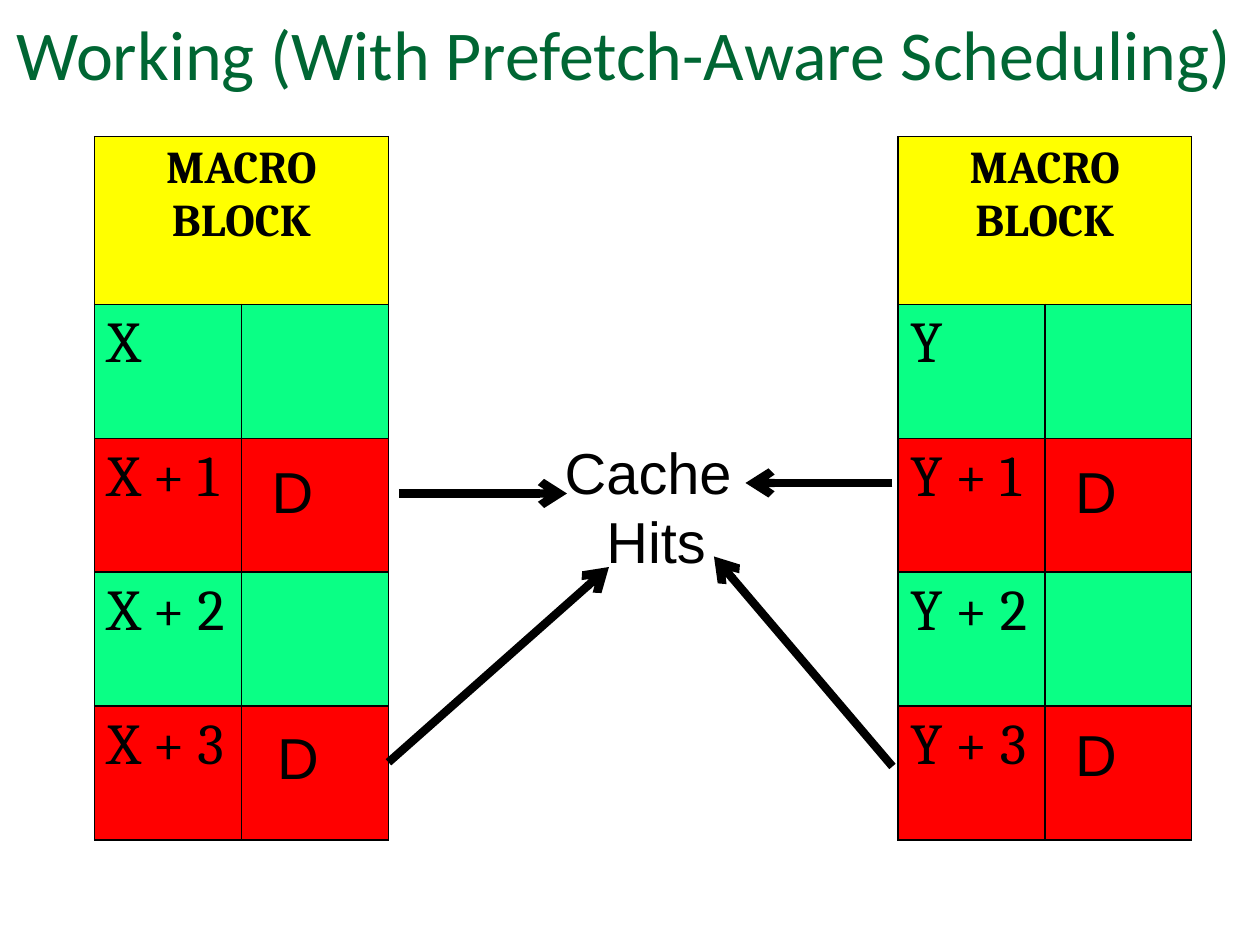
from pptx import Presentation
from pptx.dml.color import RGBColor
from pptx.enum.shapes import MSO_CONNECTOR
from pptx.enum.text import MSO_ANCHOR, MSO_AUTO_SIZE, PP_ALIGN
from pptx.oxml.ns import qn
from pptx.util import Inches, Pt
from lxml.etree import SubElement

BLACK = RGBColor(0x00, 0x00, 0x00)
PINE = RGBColor(0x00, 0x66, 0x33)
YELLOW = RGBColor(0xFF, 0xFF, 0x00)
MINT = RGBColor(0x0A, 0xFF, 0x85)
RED = RGBColor(0xFF, 0x00, 0x00)
UNIT = Inches(1) / 12

HEAD = {"name": "Cambria", "size": Pt(26), "bold": True}
ENTRY = {"name": "Cambria", "size": Pt(33), "bold": False}
LABEL = {"name": "Arial", "size": Pt(33)}
TITLE = {"name": "Calibri", "size": Pt(40)}


def grid(*cells):
    return [round(cell * UNIT) for cell in cells]


class Board:
    """Draws styled parts on one slide, with a grid of 120 columns by 90 rows."""

    def __init__(self, deck):
        self.slide = deck.slides.add_slide(deck.slide_layouts[5])
        self.shapes = self.slide.shapes

    def style(self, frame, text, form, align=PP_ALIGN.LEFT, color=BLACK):
        frame.text = text
        for para in frame.paragraphs:
            para.alignment = align
            for run in para.runs:
                for key, value in form.items():
                    setattr(run.font, key, value)
                run.font.color.rgb = color

    def title(self, text, *place):
        box = self.shapes.title
        box.left, box.top, box.width, box.height = grid(*place)
        frame = box.text_frame
        setup = {"auto_size": MSO_AUTO_SIZE.NONE, "word_wrap": True,
                 "vertical_anchor": MSO_ANCHOR.MIDDLE}
        for key, value in setup.items():
            setattr(frame, key, value)
        self.style(frame, text, TITLE, color=PINE)

    def label(self, text, *place, align=PP_ALIGN.LEFT, anchor=MSO_ANCHOR.MIDDLE):
        frame = self.shapes.add_textbox(*grid(*place)).text_frame
        frame.word_wrap = True
        frame.vertical_anchor = anchor
        self.style(frame, text, LABEL, align)

    def arrow(self, *ends):
        link = self.shapes.add_connector(MSO_CONNECTOR.STRAIGHT, *grid(*ends))
        link.line.width = Pt(4.75)
        link.line.color.rgb = BLACK
        props = link._element.spPr
        SubElement(props.find(qn("a:ln")), qn("a:tailEnd"), type="arrow")
        SubElement(props, qn("a:effectLst"))

    def paint(self, cell, color):
        props = cell._tc.get_or_add_tcPr()
        for side in ("lnL", "lnR", "lnT", "lnB"):
            edge = SubElement(props, qn(f"a:{side}"), w=str(Pt(1)))
            fill = SubElement(edge, qn("a:solidFill"))
            SubElement(fill, qn("a:srgbClr"), val=str(BLACK))
        cell.fill.solid()
        cell.fill.fore_color.rgb = color

    def block(self, name, left):
        table = self.shapes.add_table(5, 2, *grid(left, 13, 28, 67)).table
        for col in table.columns:
            col.width = grid(14)[0]
        for row, high in zip(table.rows, grid(16, *[12.75] * 4)):
            row.height = high
        table.cell(0, 0).merge(table.cell(0, 1))
        for row, color in enumerate([YELLOW, MINT, RED, MINT, RED]):
            for col in range(2):
                self.paint(table.cell(row, col), color)
        self.style(table.cell(0, 0).text_frame, "MACRO\nBLOCK", HEAD, PP_ALIGN.CENTER)
        for step in range(4):
            text = f"{name} + {step}" if step else name
            self.style(table.cell(step + 1, 0).text_frame, text, ENTRY)


deck = Presentation()
deck.slide_width, deck.slide_height = grid(120, 90)
board = Board(deck)
board.title("Working (With Prefetch-Aware Scheduling)", 0.4, 0, 122, 10)
for name, left in (("X", 9), ("Y", 85.5)):
    board.block(name, left)
board.label("Cache \nHits", 51, 41, 23, 14.5, align=PP_ALIGN.CENTER, anchor=MSO_ANCHOR.TOP)
for ends in ((38, 47, 54, 47), (37, 72.6, 58, 54), (85, 46, 71, 46), (85, 73, 68, 53)):
    board.arrow(*ends)
for left, top in ((25.2, 65.3), (24.7, 40), (101.2, 65), (101.2, 40)):
    board.label("D", left, top, 14, 13.5)
deck.save("out.pptx")
